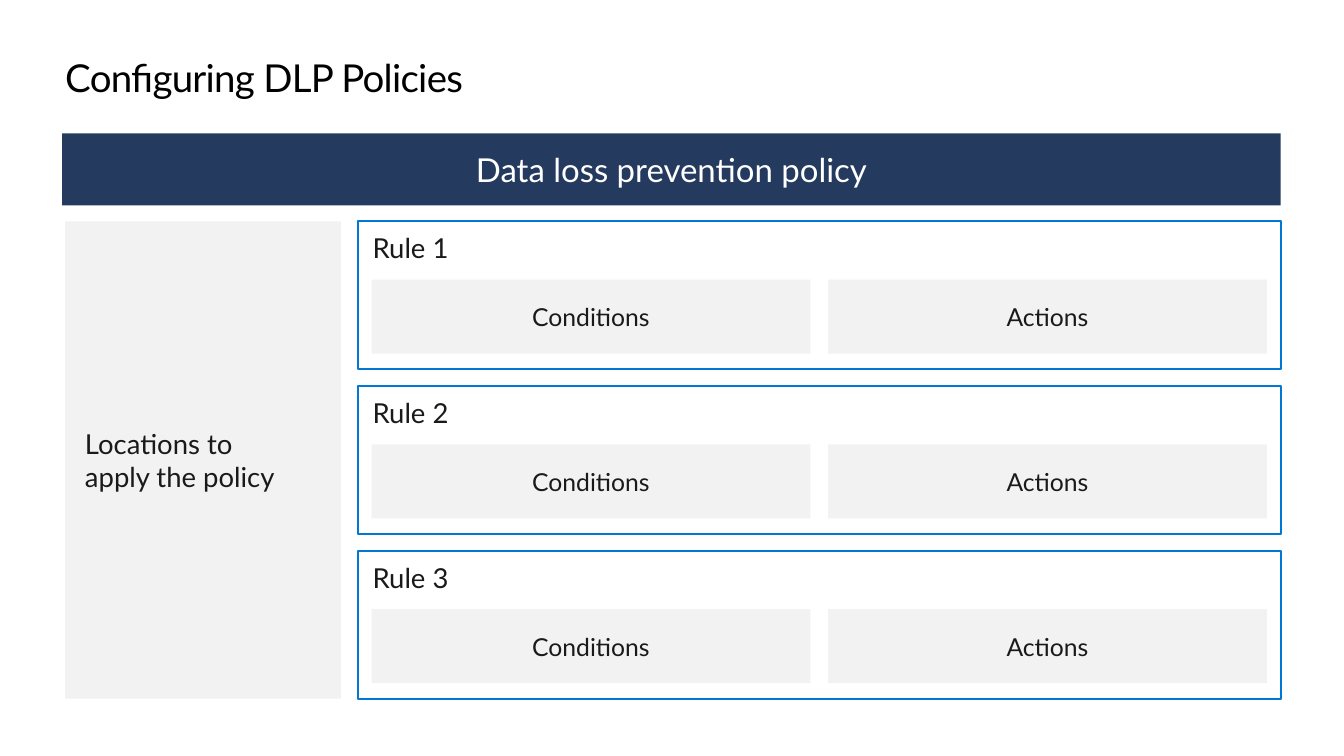
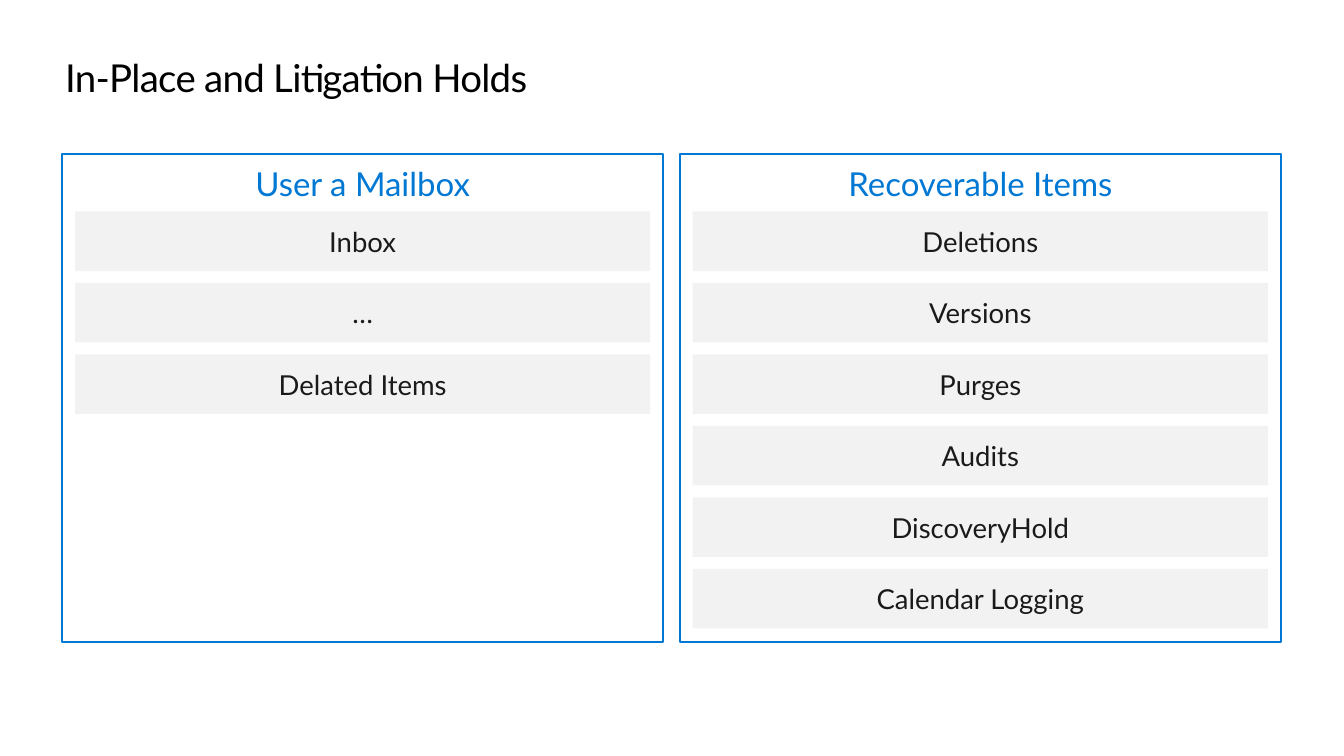
from pptx import Presentation
from pptx.dml.color import RGBColor
from pptx.enum.shapes import MSO_SHAPE as SHAPE
from pptx.enum.text import MSO_ANCHOR as ANCHOR, PP_ALIGN as ALIGN
from pptx.util import Inches, Pt

WHITE = RGBColor(0xFF, 0xFF, 0xFF)
BLACK = RGBColor(0x00, 0x00, 0x00)
INK = RGBColor(0x1A, 0x1A, 0x1A)
NAVY = RGBColor(0x24, 0x3A, 0x5E)
BLUE = RGBColor(0x00, 0x78, 0xD4)
GREY = RGBColor(0xF2, 0xF2, 0xF2)

FONT = "Lato"
SLIDE_W, SLIDE_H = 13.6, 7.65
LEFT, WIDTH = 0.63, 12.33
TEXT_LEFT, TEXT_WIDTH = 0.66, 12.29
GAP = 0.17

TITLE = dict(size=28, color=BLACK, align=ALIGN.LEFT, anchor=ANCHOR.TOP, margins=(0, 0))
BANNER = dict(size=24, color=WHITE, align=ALIGN.CENTER, anchor=ANCHOR.MIDDLE, margins=(0.2, 0.16))
SIDEBAR = dict(BANNER, size=20, color=INK, align=ALIGN.LEFT)
ITEM = dict(BANNER, size=20, color=INK)
CELL = dict(ITEM, size=18, margins=(0.1, 0.04))
RULE = dict(SIDEBAR, anchor=ANCHOR.TOP, margins=(0.15, 0.1))
PANEL = dict(BANNER, color=BLUE, anchor=ANCHOR.TOP, margins=(0.2, 0.1))


def split(start, total, count, gap):
    size = (total - gap * (count - 1)) / count
    return [start + i * (size + gap) for i in range(count)], size


def place(shape, x, y, w, h):
    for name, value in dict(left=x, top=y, width=w, height=h).items():
        setattr(shape, name, Inches(value))


def write(shape, text, style):
    tf = shape.text_frame
    side, edge = (Inches(m) for m in style["margins"])
    frame = dict(word_wrap=True, vertical_anchor=style["anchor"], margin_left=side,
                 margin_right=side, margin_top=edge, margin_bottom=edge)
    for name, value in frame.items():
        setattr(tf, name, value)
    p = tf.paragraphs[0]
    p.text = text
    p.alignment = style["align"]
    for r in p.runs:
        for name, value in dict(name=FONT, size=Pt(style["size"])).items():
            setattr(r.font, name, value)
        r.font.color.rgb = style["color"]


def add_box(s, text, x, y, w, h, style, fill=None):
    sp = s.shapes.add_shape(SHAPE.RECTANGLE, *map(Inches, (x, y, w, h)))
    sp.shadow.inherit = False
    if fill is None:
        sp.fill.background()
        sp.line.color.rgb = BLUE
        sp.line.width = Pt(1.5)
    else:
        sp.fill.solid()
        sp.fill.fore_color.rgb = fill
        sp.line.fill.background()
    write(sp, text, style)


def add_slide(prs, title):
    s = prs.slides.add_slide(prs.slide_layouts.get_by_name("Title Only"))
    sp = s.shapes.title
    place(sp, TEXT_LEFT, 0.55, TEXT_WIDTH, 0.48)
    write(sp, title, TITLE)
    for r in sp.text_frame.paragraphs[0].runs:
        r.font._element.set("spc", "-50")
    return s


def add_rule(s, name, x, y, w, h):
    pad = 0.14
    add_box(s, name, x, y, w, h, RULE)
    columns, cell_w = split(x + pad, w - 2 * pad, 2, 0.18)
    for text, column in zip(("Conditions", "Actions"), columns):
        add_box(s, text, column, y + 0.59, cell_w, 0.75, CELL, GREY)


def add_policy_slide(prs):
    s = add_slide(prs, "Configuring DLP Policies")
    top, height, side_w = 2.24, 4.83, 2.79
    add_box(s, "Data loss prevention policy", LEFT, 1.35, WIDTH, 0.73, BANNER, NAVY)
    add_box(s, "Locations to\vapply the policy", TEXT_LEFT, top, side_w, height, SIDEBAR, GREY)
    rule_x = TEXT_LEFT + side_w + GAP
    rows, rule_h = split(top, height, 3, GAP)
    for number, y in enumerate(rows, 1):
        add_rule(s, f"Rule {number}", rule_x, y, LEFT + WIDTH - rule_x, rule_h)


def add_holds_slide(prs):
    s = add_slide(prs, "In-Place and Litigation Holds")
    panels = {
        "User a Mailbox": ["Inbox", "…", "Delated Items"],
        "Recoverable Items": ["Deletions", "Versions", "Purges", "Audits",
                              "DiscoveryHold", "Calendar Logging"],
    }
    pad = 0.13
    columns, panel_w = split(LEFT, WIDTH, len(panels), GAP)
    rows, item_h = split(2.14, 4.22, 6, 0.12)
    for x, (heading, items) in zip(columns, panels.items()):
        add_box(s, heading, x, 1.56, panel_w, 4.94, PANEL)
        for y, item in zip(rows, items):
            add_box(s, item, x + pad, y, panel_w - 2 * pad, item_h, ITEM, GREY)


def main():
    prs = Presentation()
    prs.slide_width, prs.slide_height = Inches(SLIDE_W), Inches(SLIDE_H)
    add_policy_slide(prs)
    add_holds_slide(prs)
    prs.save("out.pptx")


if __name__ == "__main__":
    main()
